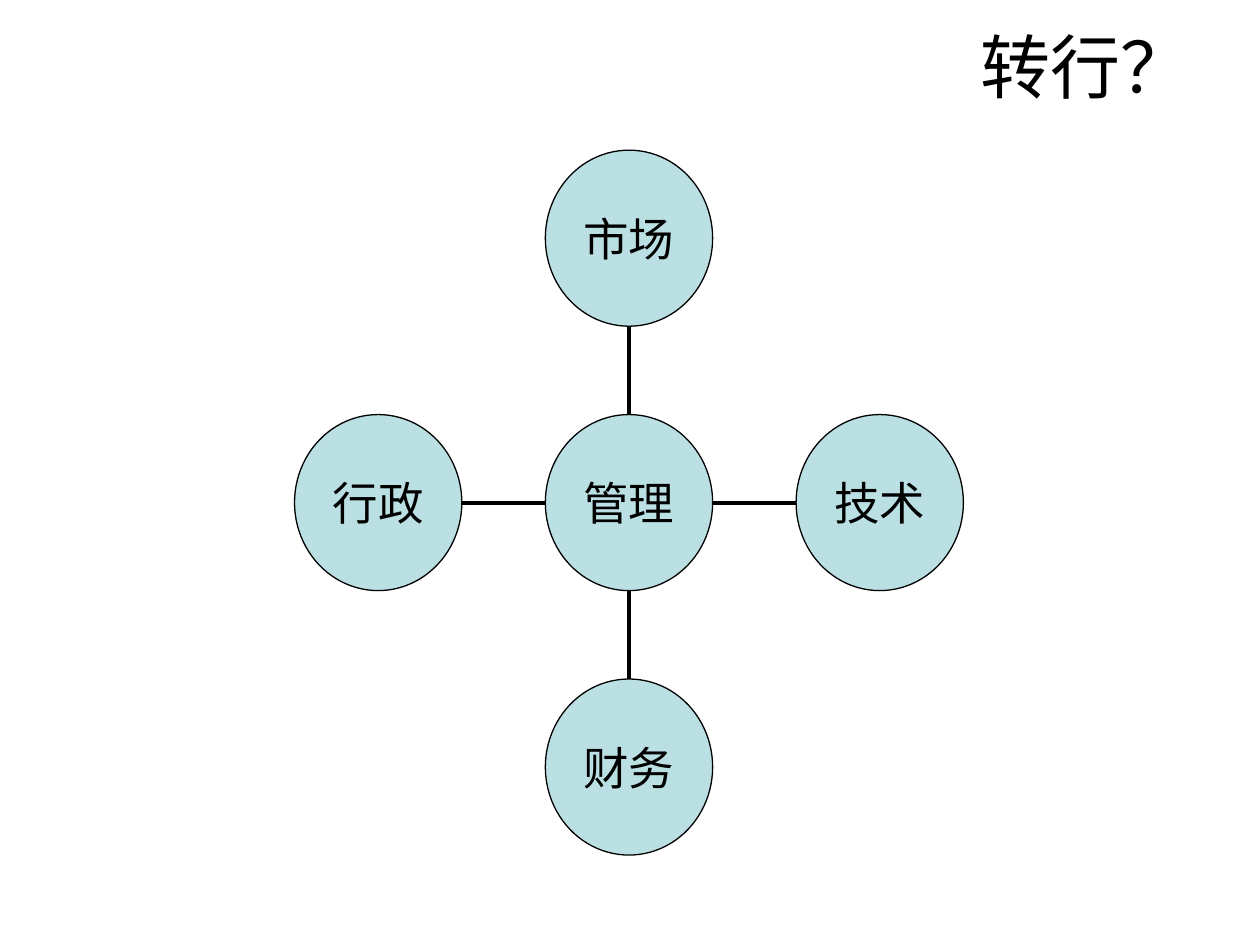
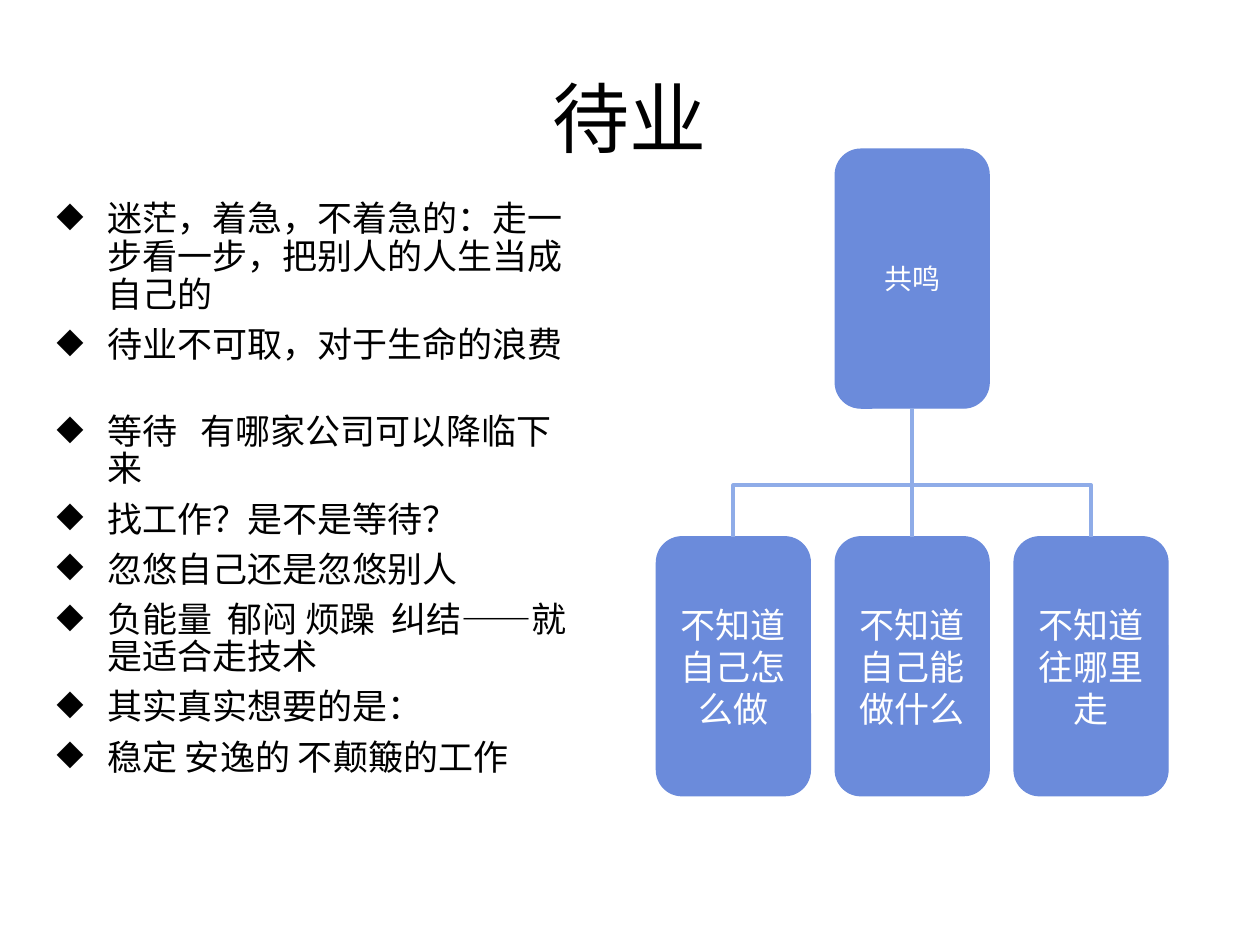
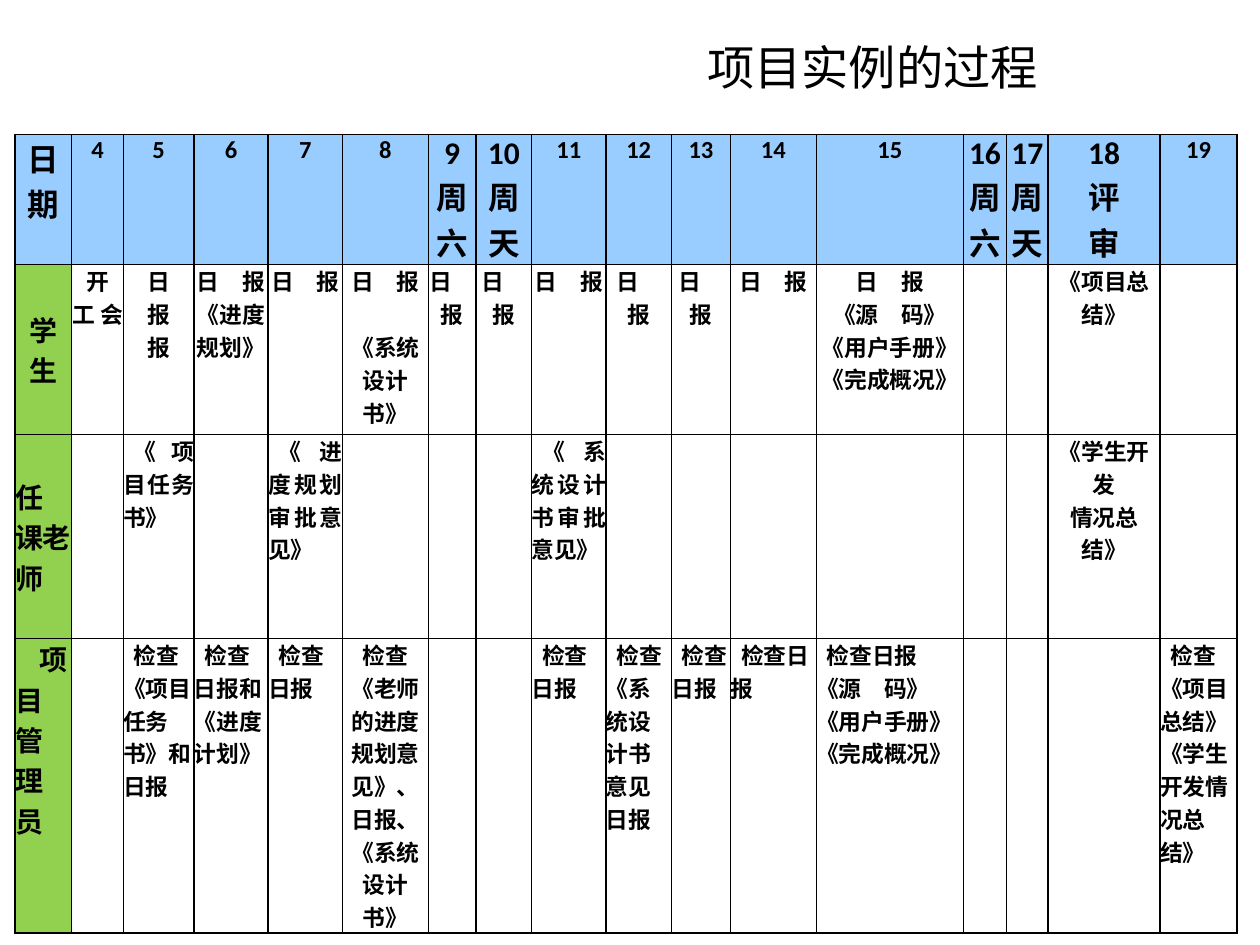
from lxml import etree
from pptx import Presentation
from pptx.dml.color import RGBColor
from pptx.enum.shapes import MSO_CONNECTOR, MSO_SHAPE
from pptx.enum.text import MSO_ANCHOR, PP_ALIGN
from pptx.oxml.ns import qn
from pptx.util import Pt

CENTER, LEFT, RIGHT, JUSTIFY = PP_ALIGN.CENTER, PP_ALIGN.LEFT, PP_ALIGN.RIGHT, PP_ALIGN.JUSTIFY
TOP, MIDDLE = MSO_ANCHOR.TOP, MSO_ANCHOR.MIDDLE
ELLIPSE, ROUNDED = MSO_SHAPE.OVAL, MSO_SHAPE.ROUNDED_RECTANGLE
STRAIGHT = MSO_CONNECTOR.STRAIGHT
SITE_TOP, SITE_BOTTOM = 0, 2

BLACK = RGBColor(0x00, 0x00, 0x00)
WHITE = RGBColor(0xFF, 0xFF, 0xFF)
TEAL = RGBColor(0xBB, 0xE0, 0xE3)
BLUE = RGBColor(0x6B, 0x8B, 0xDB)
LIGHT_BLUE = RGBColor(0x8F, 0xAC, 0xE8)
HEADER_BLUE = RGBColor(0x99, 0xCC, 0xFF)
ROLE_GREEN = RGBColor(0x92, 0xD0, 0x50)

CJK = "Noto Sans CJK SC"
TITLE_ONLY = 5

CIRCLE_W, CIRCLE_H = 95.6, 100.6
HUB_X, HUB_Y = 359.4, 287.2
STEP_X, STEP_Y = 143.3, 151.1
BRANCHES = [("行政", -1, 0), ("财务", 0, 1), ("技术", 1, 0), ("市场", 0, -1)]

CARD_W, CARD_H, CARD_PITCH = 88, 148, 102.2
CARDS_X, PARENT_Y, BUS_Y, CHILD_Y = 375.1, 85.2, 277.2, 306.7
WORRIES = ["不知道自己怎么做", "不知道自己能做什么", "不知道往哪里走"]
THOUGHTS = [
    "迷茫，着急，不着急的：走一步看一步，把别人的人生当成自己的",
    "待业不可取，对于生命的浪费",
    "等待   有哪家公司可以降临下来",
    "找工作？是不是等待？",
    "忽悠自己还是忽悠别人",
    "负能量  郁闷 烦躁  纠结——就是适合走技术",
    "其实真实想要的是：",
    "稳定 安逸的 不颠簸的工作",
]
WAITING = 2

FIRST_DAY = 4
COLUMN_WIDTHS = [32.4, 29.5, 40.3, 42.5, 42.5, 49, 27.4, 31.7, 42.5, 37.4,
                 33.8, 49, 84.2, 24.5, 23.8, 64.1, 43.9]
ROW_HEIGHTS = [68.4, 97.2, 116.6, 160.6]
MILESTONES = {9: "周六", 10: "周天", 16: "周六", 17: "周天", 18: "评\n审"}
DAILY = "日　报"
STUDENT = {day: DAILY for day in range(7, 15)} | {
    4: "开\n工 会",
    5: "日\n报\n报",
    6: DAILY + "\n《进度规划》",
    8: DAILY + "\n《系统设计书》",
    15: DAILY + "\n《源　码》\n《用户手册》\n《完成概况》",
    18: "《项目总结》",
}
TEACHER = {
    5: "《项目任务书》",
    7: "《进度规划审批意见》",
    11: "《系统设计书审批意见》",
    18: "《学生开发\n情况总结》",
}
MANAGER = {day: "检查日报" for day in (7, 11, 13, 14)} | {
    5: "检查《项目任务书》和日报",
    6: "检查日报和《进度计划》",
    8: "检查《老师的进度规划意见》、\n日报、《系统设计书》",
    12: "检查《系统设计书意见\n日报",
    15: "检查日报\n《源　码》\n《用户手册》\n《完成概况》",
    19: "检查《项目总结》\n《学生开发情况总结》",
}
CENTERED_DAYS = (8, 18)


def write(frame, text, size=18, font=CJK, color=BLACK, bold=False, align=CENTER,
          anchor=MIDDLE, inset=0, indent=0):
    frame.word_wrap = True
    frame.vertical_anchor = anchor
    frame.margin_left = frame.margin_right = Pt(inset)
    frame.margin_top = frame.margin_bottom = Pt(inset)
    for index, line in enumerate(text.split("\n")):
        paragraph = frame.add_paragraph() if index else frame.paragraphs[0]
        paragraph.alignment = align
        if indent and index == 0:
            paragraph._p.get_or_add_pPr().set("indent", str(Pt(indent)))
        run = paragraph.add_run()
        run.text = line
        run.font.size = Pt(size)
        run.font.name = font
        run.font.bold = bold
        run.font.color.rgb = color
        etree.SubElement(run._r.get_or_add_rPr(), qn("a:ea"), typeface=CJK)


def add_titled_slide(deck, text, box, **text_format):
    slide = deck.slides.add_slide(deck.slide_layouts[TITLE_ONLY])
    title = slide.shapes.title
    title.left, title.top, title.width, title.height = map(Pt, box)
    write(title.text_frame, text, inset=3.6, **text_format)
    return slide


def add_node(slide, kind, box, text, fill, outline, **text_format):
    node = slide.shapes.add_shape(kind, *map(Pt, box))
    node.shadow.inherit = False
    node.fill.solid()
    node.fill.fore_color.rgb = fill
    node.line.color.rgb = outline
    node.line.width = Pt(0.75)
    write(node.text_frame, text, **text_format)
    return node


def add_link(slide, start, end, color):
    link = slide.shapes.add_connector(STRAIGHT, *map(Pt, start + end))
    link.line.color.rgb = color
    link.line.width = Pt(2.25)
    etree.SubElement(link._element.spPr, qn("a:effectLst"))
    return link


def add_elbow(slide, points, color):
    corners = [(Pt(x), Pt(y)) for x, y in points]
    builder = slide.shapes.build_freeform(*corners[0])
    builder.add_line_segments(corners[1:], close=False)
    elbow = builder.convert_to_shape()
    elbow.shadow.inherit = False
    elbow.fill.background()
    elbow.line.color.rgb = color
    elbow.line.width = Pt(2.25)


def add_bullets(slide, items, box):
    frame = slide.shapes.add_textbox(*map(Pt, box)).text_frame
    write(frame, "\n".join(items), size=20, font="Arial", align=LEFT, anchor=TOP, inset=3.6)
    for index, paragraph in enumerate(frame.paragraphs):
        paragraph.line_spacing = 0.9
        paragraph.space_before = Pt(28 if index == WAITING else 7)
        properties = paragraph._p.get_or_add_pPr()
        properties.set("marL", str(Pt(28.8)))
        properties.set("indent", str(-Pt(28.8)))
        etree.SubElement(properties, qn("a:buChar"), char="◆")


def add_border(cell):
    properties = cell._tc.get_or_add_tcPr()
    for index, side in enumerate(("a:lnL", "a:lnR", "a:lnT", "a:lnB")):
        edge = etree.Element(qn(side), w=str(Pt(1)))
        fill = etree.SubElement(edge, qn("a:solidFill"))
        etree.SubElement(fill, qn("a:srgbClr"), val=str(BLACK))
        properties.insert(index, edge)


def fill_cell(cell, text="", fill=None, **text_format):
    if fill is None:
        cell.fill.background()
    else:
        cell.fill.solid()
        cell.fill.fore_color.rgb = fill
    add_border(cell)
    cell.margin_left = cell.margin_right = cell.margin_top = cell.margin_bottom = 0
    cell.vertical_anchor = text_format.get("anchor", TOP)
    if text:
        write(cell.text_frame, text, font="Calibri", bold=True, **{"anchor": TOP} | text_format)


def build_career_change(deck):
    slide = add_titled_slide(deck, "转行？", (36, 3.6, 648, 67.7), size=40, align=RIGHT)
    for name, dx, dy in BRANCHES:
        start = (HUB_X + dx * CIRCLE_W / 2, HUB_Y + dy * CIRCLE_H / 2)
        end = (HUB_X + dx * (STEP_X - CIRCLE_W / 2), HUB_Y + dy * (STEP_Y - CIRCLE_H / 2))
        add_link(slide, start, end, BLACK)
    for name, dx, dy in BRANCHES + [("管理", 0, 0)]:
        left = HUB_X + dx * STEP_X - CIRCLE_W / 2
        top = HUB_Y + dy * STEP_Y - CIRCLE_H / 2
        add_node(slide, ELLIPSE, (left, top, CIRCLE_W, CIRCLE_H), name, TEAL, BLACK, size=26)


def build_unemployed(deck):
    slide = add_titled_slide(deck, "待业", (36, 21.6, 648, 90), size=44, font="Arial")
    add_bullets(slide, THOUGHTS, (28.8, 111.6, 304.6, 341.3))

    def add_card(column, top, text, size):
        box = (CARDS_X + column * CARD_PITCH, top, CARD_W, CARD_H)
        return add_node(slide, ROUNDED, box, text, BLUE, BLUE, size=size, color=WHITE, inset=3.6)

    parent = add_card(1, PARENT_Y, "共鸣", 16)
    trunk_x = CARDS_X + CARD_PITCH + CARD_W / 2
    trunk_y = PARENT_Y + CARD_H
    for column, worry in enumerate(WORRIES):
        child = add_card(column, CHILD_Y, worry, 20)
        child_x = CARDS_X + column * CARD_PITCH + CARD_W / 2
        if column == 1:
            link = add_link(slide, (trunk_x, trunk_y), (child_x, CHILD_Y), LIGHT_BLUE)
            link.begin_connect(parent, SITE_BOTTOM)
            link.end_connect(child, SITE_TOP)
        else:
            add_elbow(slide, [(child_x, CHILD_Y), (child_x, BUS_Y),
                              (trunk_x, BUS_Y), (trunk_x, trunk_y)], LIGHT_BLUE)


def build_project_process(deck):
    slide = add_titled_slide(deck, "项目实例的过程", (342.7, 15.1, 311.8, 45.4), size=27)
    schedule = slide.shapes.add_table(
        len(ROW_HEIGHTS), len(COLUMN_WIDTHS), Pt(8.6), Pt(77),
        Pt(sum(COLUMN_WIDTHS)), Pt(sum(ROW_HEIGHTS))).table
    schedule.first_row = schedule.horz_banding = False
    for column, width in zip(schedule.columns, COLUMN_WIDTHS):
        column.width = Pt(width)
    for row, height in zip(schedule.rows, ROW_HEIGHTS):
        row.height = Pt(height)

    fill_cell(schedule.cell(0, 0), "日\n期", HEADER_BLUE)
    fill_cell(schedule.cell(1, 0), "学\n生", ROLE_GREEN, size=16, anchor=MIDDLE)
    fill_cell(schedule.cell(2, 0), "任 课老 师", ROLE_GREEN, size=16, align=LEFT, anchor=MIDDLE)
    fill_cell(schedule.cell(3, 0), "项 目 管 理 员", ROLE_GREEN, size=16, align=LEFT, indent=14)

    for column in range(1, len(COLUMN_WIDTHS)):
        day = FIRST_DAY + column - 1
        if day in MILESTONES:
            fill_cell(schedule.cell(0, column), f"{day}\n{MILESTONES[day]}", HEADER_BLUE)
        else:
            fill_cell(schedule.cell(0, column), str(day), HEADER_BLUE, size=14)
        duties = [(STUDENT, CENTER), (TEACHER, JUSTIFY), (MANAGER, LEFT)]
        for row, (duty, align) in enumerate(duties, start=1):
            if day in CENTERED_DAYS:
                align = CENTER
            fill_cell(schedule.cell(row, column), duty.get(day, ""), size=13, align=align,
                      indent=0 if align == CENTER else 6)
    design_book = schedule.cell(1, 8 - FIRST_DAY + 1).text_frame.paragraphs[1]
    design_book.space_before = Pt(19)


def main():
    deck = Presentation()
    deck.slide_width, deck.slide_height = Pt(720), Pt(540)
    build_career_change(deck)
    build_unemployed(deck)
    build_project_process(deck)
    deck.save("out.pptx")


if __name__ == "__main__":
    main()
